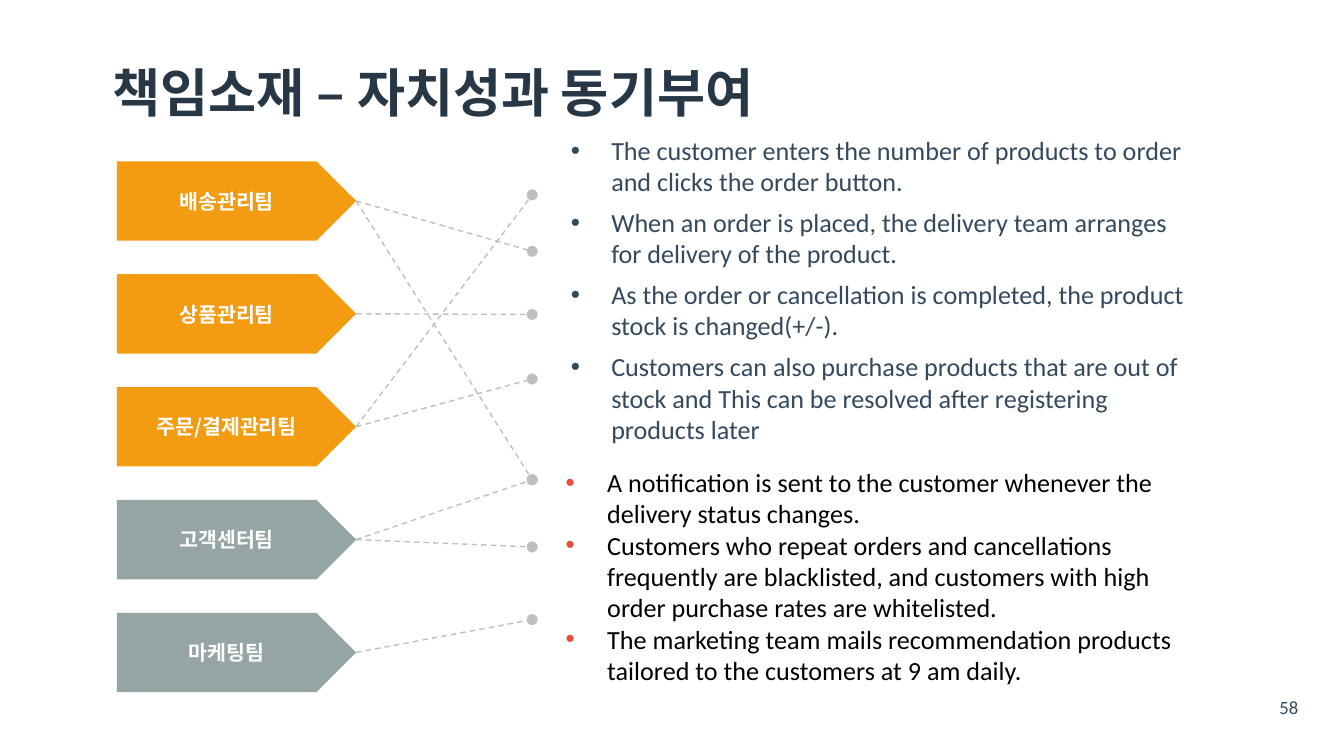
import pptx
import pptx.util
import pptx.dml.color
import pptx.enum.dml
import pptx.enum.shapes
import pptx.enum.text
import pptx.oxml.ns
import lxml.etree

Inches = pptx.util.Inches
Align = pptx.enum.text.PP_ALIGN
Anchor = pptx.enum.text.MSO_ANCHOR
Fit = pptx.enum.text.MSO_AUTO_SIZE
Shape = pptx.enum.shapes.MSO_SHAPE
LATIN, KOREAN = "Calibri", "Noto Sans CJK KR"
SLATE, ORANGE, GREY, WHITE = "34495E", "F39C12", "95A5A6", "FFFFFF"


def color(code):
    return pptx.dml.color.RGBColor.from_string(code)


def add_xml(parent, tag, **attrs):
    return lxml.etree.SubElement(parent, pptx.oxml.ns.qn(tag), attrs)


def set_frame(frame, anchor=Anchor.TOP, side=0.1, edge=0.05, fit=Fit.NONE):
    look = {"word_wrap": True, "auto_size": fit, "vertical_anchor": anchor,
            "margin_left": Inches(side), "margin_right": Inches(side),
            "margin_top": Inches(edge), "margin_bottom": Inches(edge)}
    for name, value in look.items():
        setattr(frame, name, value)


def write(para, text, size, tint, font=LATIN, bold=False, **look):
    run = para.add_run()
    run.text = text
    for name, value in {"size": pptx.util.Pt(size), "name": font, "bold": bold}.items():
        setattr(run.font, name, value)
    run.font.color.rgb = color(tint)
    add_xml(run.font._element, "a:ea", typeface=KOREAN)
    for name, value in look.items():
        setattr(para, name, value)


def add_title(slide, text, left, top, width, height):
    title = slide.shapes.title
    box = {"left": left, "top": top, "width": width, "height": height}
    for name, value in box.items():
        setattr(title, name, Inches(value))
    set_frame(title.text_frame, Anchor.MIDDLE)
    write(title.text_frame.paragraphs[0], text, 28, "273746", bold=True,
          alignment=Align.LEFT, line_spacing=0.9)


def add_list(frame, items, tint, dot, indent, hang, gap=0, fit=Fit.NONE):
    set_frame(frame, fit=fit)
    for i, text in enumerate(items):
        para = frame.paragraphs[0] if i == 0 else frame.add_paragraph()
        props = para._p.get_or_add_pPr()
        props.set("marL", str(Inches(indent)))
        props.set("indent", str(-Inches(hang)))
        add_xml(add_xml(props, "a:buClr"), "a:srgbClr", val=dot)
        add_xml(props, "a:buFont", typeface="Arial")
        add_xml(props, "a:buChar", char="•")
        write(para, text, 14, tint, level=1, alignment=Align.LEFT,
              space_before=pptx.util.Pt(gap if i else 0))


def add_rules(slide, items, left, top, width, height):
    panel = slide.shapes.add_shape(
        Shape.RECTANGLE, *map(Inches, (left, top, width, height)))
    panel.shadow.inherit = False
    panel.fill.solid()
    panel.fill.fore_color.rgb = color(WHITE)
    panel.line.color.rgb = color(WHITE)
    panel.line.width = pptx.util.Pt(0.75)
    add_list(panel.text_frame, items, SLATE, SLATE, 0.59, 0.3, gap=5)


def add_notices(slide, items, left, top, width, height):
    box = slide.shapes.add_textbox(*map(Inches, (left, top, width, height)))
    add_list(box.text_frame, items, "000000", "E74C3C", 0.61, 0.31,
             fit=Fit.SHAPE_TO_FIT_TEXT)


def add_teams(slide, teams, left, top, width, height):
    """Stack the team tags evenly; return them by name."""
    tall = 0.59
    step = (height - tall) / (len(teams) - 1)
    tags = {}
    for i, (name, tint) in enumerate(teams):
        tag = slide.shapes.add_shape(
            Shape.PENTAGON, *map(Inches, (left, top + i * step, width, tall)))
        tag.shadow.inherit = False
        tag.fill.solid()
        tag.fill.fore_color.rgb = color(tint)
        tag.line.fill.background()
        set_frame(tag.text_frame, Anchor.MIDDLE)
        write(tag.text_frame.paragraphs[0], name, 11, WHITE, KOREAN, True,
              alignment=Align.CENTER)
        tags[name] = tag
    return tags


def add_links(slide, tags, links, right):
    """Join each tag's tip to dots in the column at right."""
    for name, ends in links.items():
        for end in ends:
            link = slide.shapes.add_connector(
                pptx.enum.shapes.MSO_CONNECTOR.STRAIGHT,
                0, 0, Inches(right), Inches(end))
            link.begin_connect(tags[name], 3)
            link.line.color.rgb = color("BFBFBF")
            link.line.width = pptx.util.Pt(0.75)
            link.line.dash_style = pptx.enum.dml.MSO_LINE.DASH
            add_xml(link.line._get_or_add_ln(), "a:tailEnd", type="oval")
            add_xml(link._element.spPr, "a:effectLst")


def add_number(slide, text, left, top, width, height):
    box = slide.shapes.add_textbox(*map(Inches, (left, top, width, height)))
    set_frame(box.text_frame, side=0.15, edge=0.07, fit=Fit.SHAPE_TO_FIT_TEXT)
    write(box.text_frame.paragraphs[0], text, 10, SLATE,
          alignment=Align.CENTER, line_spacing=0.5)


TEAMS = [("배송관리팀", ORANGE), ("상품관리팀", ORANGE), ("주문/결제관리팀", ORANGE),
         ("고객센터팀", GREY), ("마케팅팀", GREY)]
# Heights of the dots each team is linked to
LINKS = {"배송관리팀": [1.87, 3.57], "상품관리팀": [2.34], "주문/결제관리팀": [1.45, 2.82],
         "고객센터팀": [3.57, 4.07], "마케팅팀": [4.61]}
RULES = [
    "The customer enters the number of products to order and clicks the order button.",
    "When an order is placed, the delivery team arranges for delivery of the product.",
    "As the order or cancellation is completed, the product stock is changed(+/-).",
    "Customers can also purchase products that are out of stock and This can be "
    "resolved after registering products later",
]
NOTICES = [
    "A notification is sent to the customer whenever the delivery status changes.",
    "Customers who repeat orders and cancellations frequently are blacklisted, and "
    "customers with high order purchase rates are whitelisted.",
    "The marketing team mails recommendation products tailored to the customers at "
    "9 am daily.",
]


def main():
    deck = pptx.Presentation()
    # Widescreen, 16 to 9
    deck.slide_width = Inches(10)
    deck.slide_height = Inches(10) * 9 // 16
    slide = deck.slides.add_slide(deck.slide_layouts[5])

    add_title(slide, "책임소재 – 자치성과 동기부여", 0.74, 0.45, 8.57, 0.52)
    # Business rules, then the teams that own them
    add_rules(slide, RULES, 3.86, 0.95, 5.14, 2.18)
    tags = add_teams(slide, TEAMS, 0.87, 1.2, 1.78, 3.95)
    add_links(slide, tags, LINKS, 3.96)
    add_notices(slide, NOTICES, 3.81, 3.42, 5.09, 1.75)
    add_number(slide, "58", 9.31, 5.21, 0.56, 0.26)

    deck.save("out.pptx")


if __name__ == "__main__":
    main()
